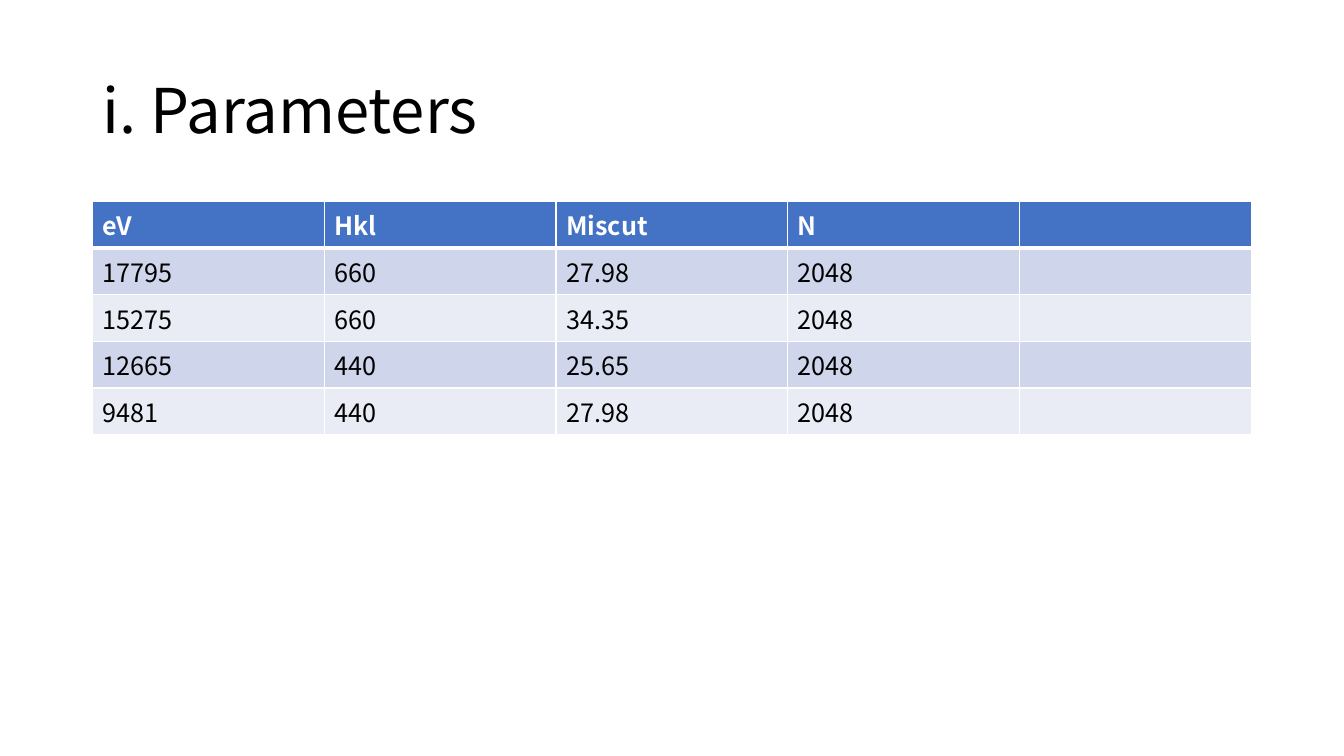
import dataclasses

import lxml.etree
import pptx
import pptx.dml.color
import pptx.enum.text
import pptx.oxml.ns
import pptx.slide
import pptx.table
import pptx.text.text
import pptx.util

FONT = "Noto Sans CJK SC"
LEFT, WIDTH = 66, 828
TABLE_TOP, ROW_HEIGHT = 144, 29.2
THIN, THICK = 1, 3


@dataclasses.dataclass(frozen=True)
class RowStyle:
    fill: str
    text: str = "000000"
    bold: bool = False
    top: float = THIN
    bottom: float = THIN


HEADER = RowStyle("4472C4", text="FFFFFF", bold=True, bottom=THICK)
FIRST_BAND = RowStyle("CFD5EA", top=THICK)
DARK_BAND = RowStyle("CFD5EA")
LIGHT_BAND = RowStyle("E9EBF5")

PARAMETERS = [
    (HEADER, ["eV", "Hkl", "Miscut", "N", ""]),
    (FIRST_BAND, ["17795", "660", "27.98", "2048", ""]),
    (LIGHT_BAND, ["15275", "660", "34.35", "2048", ""]),
    (DARK_BAND, ["12665", "440", "25.65", "2048", ""]),
    (LIGHT_BAND, ["9481", "440", "27.98", "2048", ""]),
]


def color(value: str) -> pptx.dml.color.RGBColor:
    return pptx.dml.color.RGBColor.from_string(value)


def add_run(paragraph: pptx.text.text._Paragraph, text: str, size: float,
            text_color: str, bold: bool = False) -> None:
    run = paragraph.add_run()
    run.text = text
    run.font.name = FONT
    run.font.size = pptx.util.Pt(size)
    run.font.bold = bold
    run.font.color.rgb = color(text_color)


def add_borders(cell: pptx.table._Cell, style: RowStyle) -> None:
    """Add white cell borders; call before setting the cell fill."""
    properties = cell._tc.get_or_add_tcPr()
    widths = {"a:lnL": THIN, "a:lnR": THIN, "a:lnT": style.top, "a:lnB": style.bottom}
    for tag, width in widths.items():
        line = lxml.etree.SubElement(properties, pptx.oxml.ns.qn(tag),
                                     w=str(int(pptx.util.Pt(width))))
        fill = lxml.etree.SubElement(line, pptx.oxml.ns.qn("a:solidFill"))
        lxml.etree.SubElement(fill, pptx.oxml.ns.qn("a:srgbClr"), val="FFFFFF")


def format_cell(cell: pptx.table._Cell, text: str, style: RowStyle) -> None:
    add_borders(cell, style)
    cell.fill.solid()
    cell.fill.fore_color.rgb = color(style.fill)
    paragraph = cell.text_frame.paragraphs[0]
    if text:
        add_run(paragraph, text, 18, style.text, style.bold)


def add_title(slide: pptx.slide.Slide, text: str) -> None:
    title = slide.shapes.title
    title.left, title.top = pptx.util.Pt(LEFT), pptx.util.Pt(28.8)
    title.width, title.height = pptx.util.Pt(WIDTH), pptx.util.Pt(104.4)
    title.text_frame.vertical_anchor = pptx.enum.text.MSO_ANCHOR.MIDDLE
    paragraph = title.text_frame.paragraphs[0]
    paragraph.alignment = pptx.enum.text.PP_ALIGN.LEFT
    paragraph.line_spacing = 0.9
    add_run(paragraph, text, 44, "000000")


def add_parameter_table(slide: pptx.slide.Slide) -> None:
    row_count, column_count = len(PARAMETERS), len(PARAMETERS[0][1])
    table = slide.shapes.add_table(
        row_count, column_count, pptx.util.Pt(LEFT), pptx.util.Pt(TABLE_TOP),
        pptx.util.Pt(WIDTH), pptx.util.Pt(ROW_HEIGHT * row_count)).table
    for row, (style, texts) in zip(table.rows, PARAMETERS):
        for cell, text in zip(row.cells, texts):
            format_cell(cell, text, style)


def main() -> None:
    presentation = pptx.Presentation()
    presentation.slide_width = pptx.util.Pt(960)
    presentation.slide_height = pptx.util.Pt(540)
    title_only = presentation.slide_layouts.get_by_name("Title Only")
    slide = presentation.slides.add_slide(title_only)
    add_title(slide, "i. Parameters")
    add_parameter_table(slide)
    presentation.save("out.pptx")


if __name__ == "__main__":
    main()
